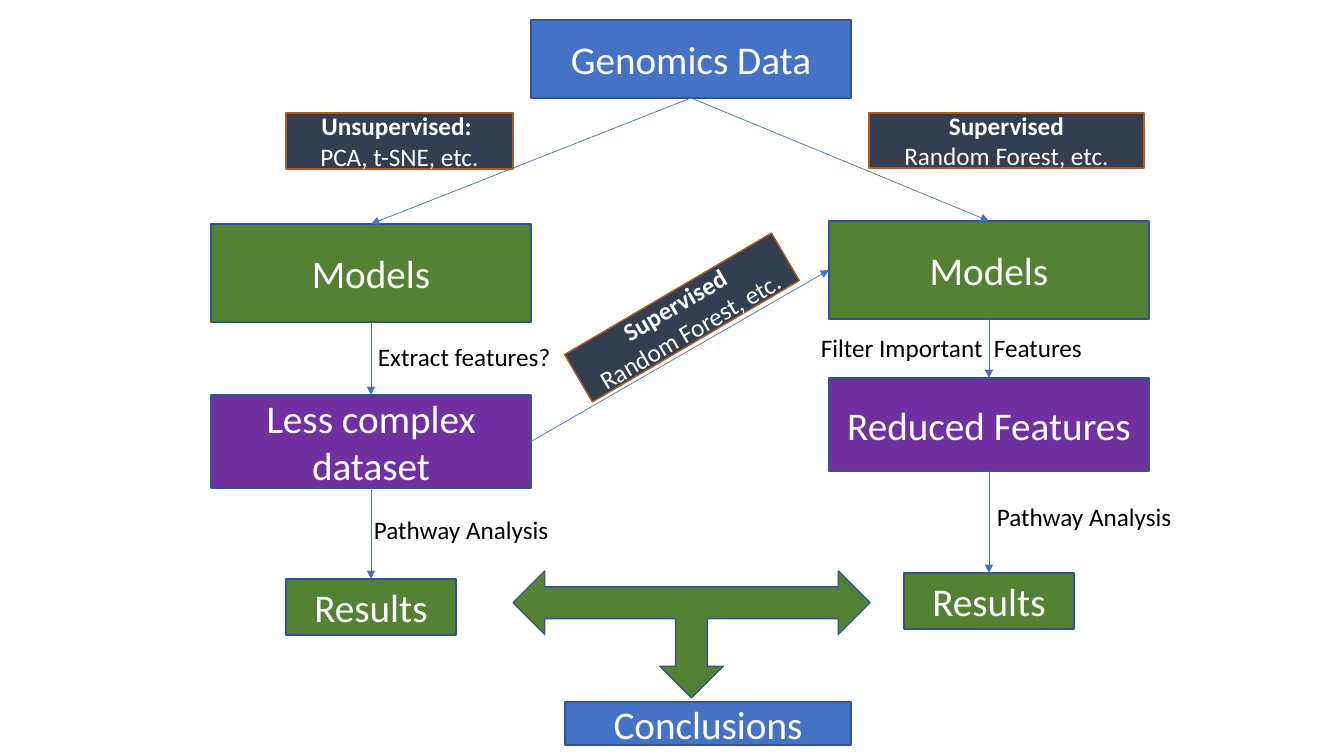
from lxml import etree
from pptx import Presentation
from pptx.dml.color import RGBColor
from pptx.enum.shapes import MSO_CONNECTOR, MSO_SHAPE
from pptx.enum.text import MSO_ANCHOR, PP_ALIGN
from pptx.oxml.ns import qn
from pptx.util import Pt

SCALE = 914400 / 100.8
RECT, FORK = MSO_SHAPE.RECTANGLE, MSO_SHAPE.LEFT_RIGHT_UP_ARROW
STRAIGHT = MSO_CONNECTOR.STRAIGHT
CENTER, MIDDLE = PP_ALIGN.CENTER, MSO_ANCHOR.MIDDLE
TOP, LEFT, BOTTOM, RIGHT = range(4)  # connection sites of a rectangle

BLUE = RGBColor(0x44, 0x72, 0xC4)
NAVY = RGBColor(0x32, 0x54, 0x91)
GREEN = RGBColor(0x54, 0x82, 0x35)
PURPLE = RGBColor(0x70, 0x30, 0xA0)
SLATE = RGBColor(0x33, 0x3F, 0x50)
RUST = RGBColor(0xAF, 0x5C, 0x24)
WHITE = RGBColor(0xFF, 0xFF, 0xFF)
BLACK = RGBColor(0, 0, 0)


def emu(*pixels):
    """Turn pixels into EMU."""
    return [round(p * SCALE) for p in pixels]


class Chart:
    """Flow chart style and the slide it is drawn on."""

    face = "Calibri"

    def __init__(self, slide):
        """Keep the slide's shapes."""
        self.shapes = slide.shapes

    def font(self, para, size, color):
        """Set the font of a whole paragraph."""
        para.font.name = self.face
        para.font.size = Pt(size)
        para.font.color.rgb = color

    def shape(self, kind, area, fill, edge=NAVY, turn=0):
        """Add a filled and outlined preset shape."""
        shape = self.shapes.add_shape(kind, *emu(*area))
        shape.shadow.inherit = False
        shape.fill.solid()
        shape.fill.fore_color.rgb = fill
        shape.line.color.rgb = edge
        shape.line.width = Pt(1)
        shape.rotation = turn
        return shape

    def center(self, shape, size):
        """Centre the text of a shape and return its paragraph."""
        frame = shape.text_frame
        frame.word_wrap = True
        frame.vertical_anchor = MIDDLE
        para = frame.paragraphs[0]
        para.alignment = CENTER
        self.font(para, size, WHITE)
        return para

    def box(self, text, area, fill):
        """Add a step of the flow."""
        shape = self.shape(RECT, area, fill)
        self.center(shape, 28).add_run().text = text
        return shape

    def method(self, title, detail, area, turn=0):
        """Add a dark tag with a bold title over a detail line."""
        para = self.center(self.shape(RECT, area, SLATE, RUST, turn), 18)
        head = para.add_run()
        head.text = title
        head.font.bold = True
        para.add_line_break()
        para.add_run().text = detail

    def note(self, text, area):
        """Add plain text beside an arrow."""
        frame = self.shapes.add_textbox(*emu(*area)).text_frame
        frame.word_wrap = True
        frame.text = text
        self.font(frame.paragraphs[0], 18, BLACK)

    def arrow(self, start, end, exit=BOTTOM, entry=TOP):
        """Join two steps with an arrow."""
        link = self.shapes.add_connector(STRAIGHT, 0, 0, 0, 0)
        link.begin_connect(start, exit)
        link.end_connect(end, entry)
        link.line.color.rgb = BLUE
        link.line.width = Pt(0.5)
        tail = etree.SubElement(link.line._get_or_add_ln(), qn("a:tailEnd"))
        tail.set("type", "triangle")
        etree.SubElement(link._element.spPr, qn("a:effectLst"))


def branch(chart, x, rows, middle):
    """Add one column of steps with its arrows; return models and middle."""
    models = chart.box("Models", (x, rows[0], 320, 98), GREEN)
    data = chart.box(middle, (x, rows[1], 320, 93), PURPLE)
    results = chart.box("Results", (x + 75, rows[2], 170, 56), GREEN)
    chart.arrow(models, data)
    chart.arrow(data, results)
    return models, data


def main():
    """Build and save the slide."""
    deck = Presentation()
    deck.slide_width, deck.slide_height = emu(1344, 756)
    chart = Chart(deck.slides.add_slide(deck.slide_layouts[6]))

    source = chart.box("Genomics Data", (531, 20, 320, 78), BLUE)
    left, less = branch(chart, 211, (224, 395, 579), "Less complex dataset")
    right, _ = branch(chart, 829, (221, 378, 573), "Reduced Features")
    chart.arrow(source, left)
    chart.arrow(source, right)
    chart.arrow(less, right, RIGHT, LEFT)

    chart.shape(FORK, (513, 571, 357, 127), GREEN, turn=180)
    chart.box("Conclusions", (565, 702, 286, 43), BLUE)

    forest = "Supervised", "Random Forest, etc."
    chart.method("Unsupervised: ", "PCA, t-SNE, etc.", (286, 113, 227, 56))
    chart.method(*forest, (869, 113, 275, 55))
    chart.method(*forest, (562, 290, 240, 55), 329.6)

    chart.note("Extract features?", (368, 336, 248, 40))
    chart.note("Filter Important  Features", (811, 327, 289, 40))
    for x, y in ((364, 509), (987, 496)):
        chart.note("Pathway Analysis", (x, y, 248, 40))

    deck.save("out.pptx")


main()
